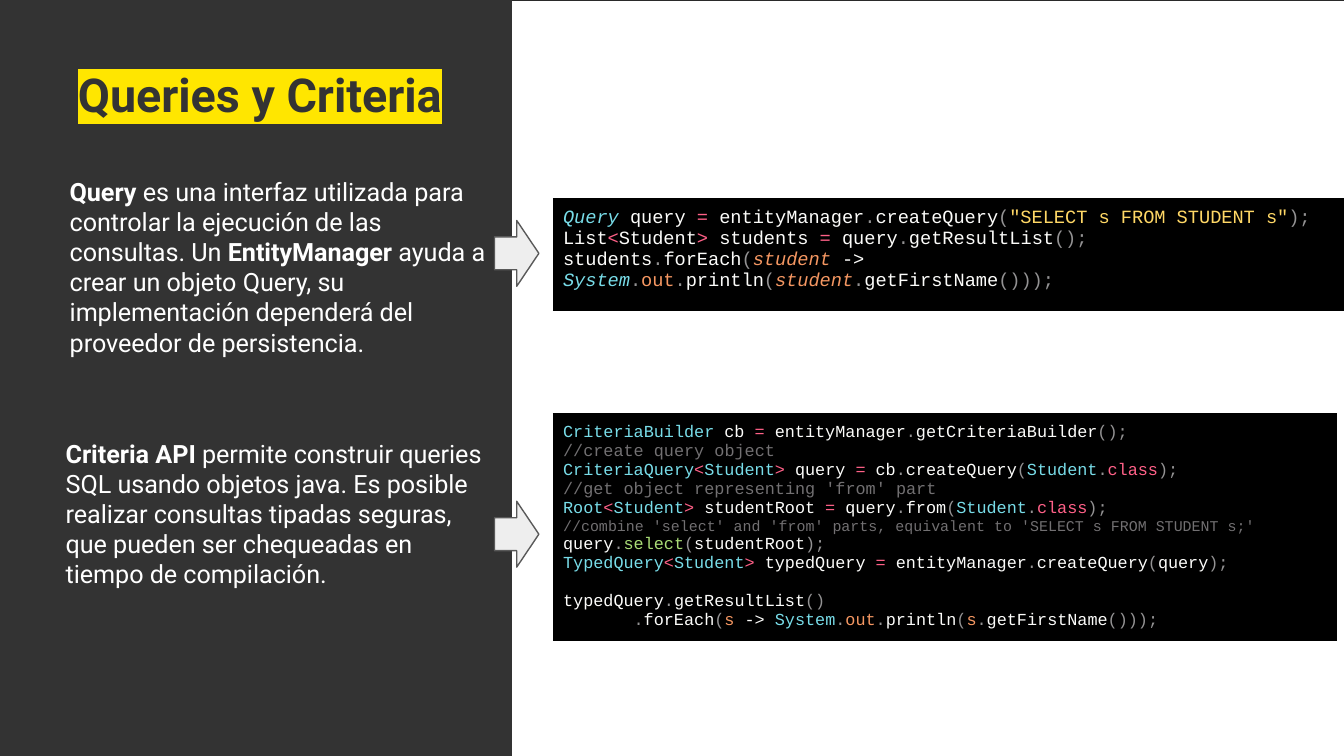
from lxml import etree
from pptx import Presentation
from pptx.dml.color import RGBColor
from pptx.enum.shapes import MSO_SHAPE
from pptx.enum.text import MSO_ANCHOR, MSO_AUTO_SIZE, PP_ALIGN
from pptx.oxml.ns import qn
from pptx.util import Pt

RECT, ARROW = MSO_SHAPE.RECTANGLE, MSO_SHAPE.RIGHT_ARROW
TOP, LEFT, NO_FIT = MSO_ANCHOR.TOP, PP_ALIGN.LEFT, MSO_AUTO_SIZE.NONE

# Content: a line is "key:text" pieces split by "|";
# the key names the colour, a capital key sets the piece apart
TITLE = "d:Queries y Criteria"
NOTES = [
    (30.24, 90.72, "W:Query |w:es una interfaz utilizada para controlar la "
     "ejecución de las consultas. Un |W:EntityManager |w:ayuda a crear un "
     "objeto Query, su implementación dependerá del proveedor de "
     "persistencia."),
    (28.08, 231.12, "W:Criteria API|w: permite construir queries SQL usando "
     "objetos java. Es posible realizar consultas tipadas seguras, que "
     "pueden ser chequeadas en tiempo de compilación."),
]
QUERY = [
    'B:Query |c:query |p:= |c:entityManager|g:.|c:createQuery|g:(|'
    'y:"SELECT s FROM STUDENT s"|g:);',
    "c:List|p:<|c:Student|p:> |c:students |p:= |c:query|g:.|"
    "c:getResultList|g:();",
    "c:students|g:.|c:forEach|g:(|O:student |c:-> |B:System|g:.|o:out|g:.|"
    "c:println|g:(|O:student|g:.|c:getFirstName|g:()));",
]
CRITERIA = [
    "b:CriteriaBuilder |c:cb |p:= |c:entityManager|g:.|"
    "c:getCriteriaBuilder|g:();",
    "r://create query object",
    "b:CriteriaQuery|p:<|b:Student|p:> |c:query |p:= |c:cb|g:.|"
    "c:createQuery|g:(|b:Student|g:.|p:class|g:);",
    "r://get object representing 'from' part",
    "b:Root|p:<|b:Student|p:> |c:studentRoot |p:= |c:query|g:.|c:from|g:(|"
    "b:Student|g:.|p:class|g:);",
    "r://combine 'select' and 'from' parts, equivalent to "
    "'SELECT s FROM STUDENT s;'",
    "c:query|g:.|l:select|g:(|c:studentRoot|g:);",
    "b:TypedQuery|p:<|b:Student|p:> |c:typedQuery |p:= |c:entityManager|"
    "g:.|c:createQuery|g:(|c:query|g:);",
    "c:typedQuery|g:.|c:getResultList|g:()",
    "g:.|c:forEach|g:(|o:s |c:-> |b:System|g:.|o:out|g:.|c:println|g:(|"
    "o:s|g:.|c:getFirstName|g:()));",
]
INKS = {"w": "FFFFFF", "d": "333333", "c": "FCFCFA", "b": "78DCE8",
        "p": "FF6188", "g": "939293", "y": "FFD866", "o": "F59762",
        "r": "727072", "l": "A9DC76"}


# Helpers
def rgb(code):
    return RGBColor.from_string(code)


def mark(run, code):
    light = etree.Element(qn("a:highlight"))
    etree.SubElement(light, qn("a:srgbClr"), val=code)
    run.font.fill._xPr.find(qn("a:solidFill")).addnext(light)


def write(para, line, size, font="Roboto", bold=False, slant=False,
          light=None):
    """Write a marked line; bold or slant True styles its capital keys."""
    para.alignment = LEFT
    for piece in line.split("|"):
        key, _, text = piece.partition(":")
        run = para.add_run()
        run.text = text
        face = run.font
        face.name, face.size = font, Pt(size)
        face.bold = bold and key.isupper()
        face.italic = slant and key.isupper()
        face.color.rgb = rgb(INKS[key.lower()])
        if light:
            mark(run, light)


def frame(box, side, edge):
    text = box.text_frame
    text.word_wrap, text.auto_size = True, NO_FIT
    text.vertical_anchor = TOP
    text.margin_left = text.margin_right = Pt(side)
    text.margin_top = text.margin_bottom = Pt(edge)
    return text.paragraphs[0]


def block(kind, x, y, w, h, fill, line=None):
    shape = slide.shapes.add_shape(kind, Pt(x), Pt(y), Pt(w), Pt(h))
    shape.shadow.inherit = False
    shape.fill.solid()
    shape.fill.fore_color.rgb = rgb(fill)
    if line:
        shape.line.color.rgb = rgb(line)
        shape.line.width = Pt(0.75)
    else:
        shape.line.fill.background()


def code(lines, y, w, h, size):
    """Add a one-cell black table and return its paragraphs."""
    table = slide.shapes.add_table(1, 1, Pt(296.64), Pt(y), Pt(w),
                                   Pt(h)).table
    cell = table.cell(0, 0)
    cell.margin_left = cell.margin_right = Pt(5.04)
    cell.margin_top = cell.margin_bottom = Pt(5.04)
    cell.fill.solid()
    cell.fill.fore_color.rgb = rgb("000000")
    props = cell._tc.tcPr
    for spot, side in enumerate(("lnL", "lnR", "lnT", "lnB")):
        edge = etree.Element(qn("a:" + side), w=str(Pt(1)))
        fill = etree.SubElement(edge, qn("a:solidFill"))
        etree.SubElement(fill, qn("a:srgbClr"), val="000000")
        props.insert(spot, edge)
    text = cell.text_frame
    for n, line in enumerate(lines):
        para = text.add_paragraph() if n else text.paragraphs[0]
        small = "combine" in line
        write(para, line, size - small, font="Courier New", slant=True)
    return text.paragraphs


# Slide and panels
deck = Presentation()
deck.slide_width, deck.slide_height = Pt(720), Pt(405)
slide = deck.slides.add_slide(deck.slide_layouts[5])
slide.background.fill.solid()
slide.background.fill.fore_color.rgb = rgb("F3F3F3")
block(RECT, 177.84, 0, 560.88, 410.4, "FFFFFF", line="2A2A2A")
block(RECT, -1.44, 0, 275.76, 410.4, "333333")

# Title, raised above the panels
title = slide.shapes.title
title.left, title.top = Pt(34.56), Pt(28.08)
title.width, title.height = Pt(247.68), Pt(42.48)
write(frame(title, 7.2, 7.2), TITLE.upper()[0] + TITLE[1:], 25, bold=True,
      light="FFE600")
slide.shapes._spTree.append(title._element)

# Notes and arrows
for x, y, line in NOTES:
    box = slide.shapes.add_textbox(Pt(x), Pt(y), Pt(238.32), Pt(100))
    write(frame(box, 7.2, 3.6), line, 13.5, bold=True)
for y in (118.08, 268.56):
    block(ARROW, 264.96, y, 23.76, 35.28, "EEEEEE", line="595959")

# Code tables; the last call stands apart, its second line indented
code(QUERY, 106.56, 426.24, 59.76, 10)
paras = code(CRITERIA, 221.76, 419.04, 121, 9)
paras[-2].space_before = Pt(10.2)
paras[-1]._p.get_or_add_pPr().set("marL", str(Pt(37.8)))

deck.save("out.pptx")
